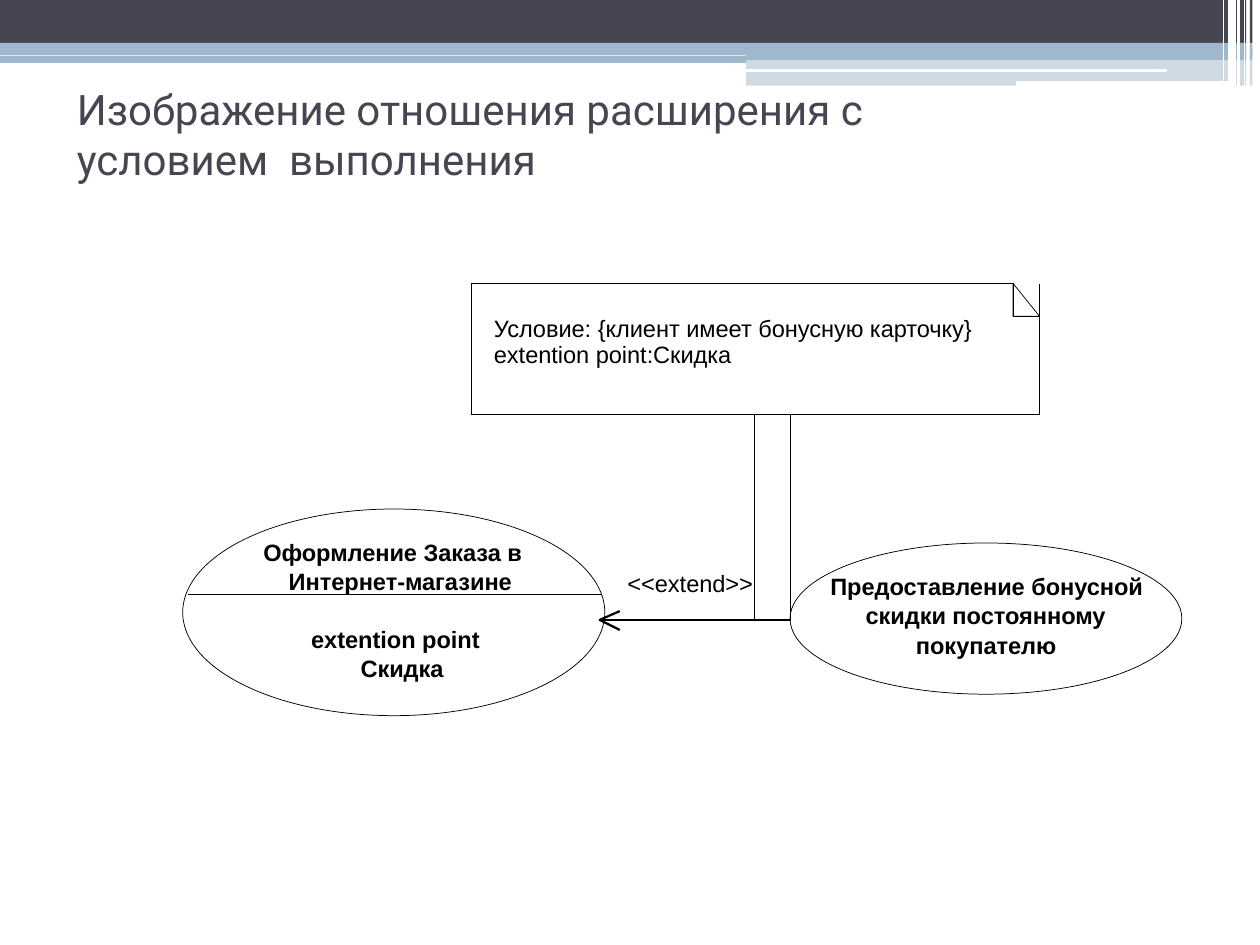
from dataclasses import dataclass

from lxml.etree import SubElement
from pptx import Presentation
from pptx.dml.color import RGBColor
from pptx.enum.shapes import MSO_CONNECTOR, MSO_SHAPE
from pptx.enum.text import MSO_ANCHOR, PP_ALIGN
from pptx.oxml.ns import qn
from pptx.util import Inches, Pt

COLORS = {"dark": "464652", "blue": "9FB8CD", "white": "FFFFFF", "black": "000000"}
HAIRLINE = 0.42
BODY_SIZE = 13.5
NO_STYLE = "{2D5ABB26-0587-4C30-8999-92F81FD0307C}"


@dataclass(frozen=True)
class Band:
    """A header band, repeated as a sliver at the right edge."""
    left: float
    top: float
    height: float
    color: str
    opacity: int = 100


@dataclass(frozen=True)
class Line:
    """A straight line with its colour and width in points."""
    start: tuple[float, float]
    end: tuple[float, float]
    color: str
    width: float


@dataclass(frozen=True)
class Caption:
    """A text box inside a use case, with a hanging indent."""
    left: float
    top: float
    width: float
    height: float
    text: str
    margin: float = 0.01
    indent: float = 0
    before: float = 0.8


@dataclass(frozen=True)
class Border:
    """A cell border: row, column, side and width in points."""
    row: int
    column: int
    side: str
    width: float


BANDS = [
    Band(0, 0, 0.34, "dark"),
    Band(0, 0.34, 0.1, "blue"),
    Band(5.92, 0.39, 0.09, "blue"),
    Band(5.92, 0.48, 0.2, "blue", 50),
]
HEADER_LINES = [
    Line((5.91, 0.56), (9.26, 0.56), "white", 2.16),
    Line((8.06, 0.66), (9.81, 0.66), "white", 2.88),
    Line((9.88, 0), (9.88, 0.68), "white", 0.72),
    Line((9.83, 0), (9.83, 0.68), "white", 2.16),
    Line((9.78, 0), (9.78, 0.64), "white", 4.32),
    Line((9.71, 0), (9.71, 0.64), "white", 0.72),
]
USE_CASES = [(6.27, 4.31, 3.11, 1.2), (1.45, 4.04, 3.35, 1.64)]
CAPTIONS = [
    Caption(6.57, 4.52, 2.56, 0.49,
            "Предоставление бонусной  скидки постоянному", 0.3, -0.28),
    Caption(7.26, 4.99, 1.16, 0.26, "покупателю", before=1.2),
    Caption(2.08, 4.25, 2.11, 0.49,
            "Оформление Заказа в  Интернет-магазине", 0.16, -0.15),
    Caption(2.45, 4.94, 1.38, 0.49, "extention point  Скидка", 0.36, -0.34),
]
COLUMNS = [1.03, 1.22, 0.28, 1.77, 0.21]
ROWS = [0.26, 0.78, 1.63]
BORDERS = [
    *(Border(0, column, "T", 0.5) for column in range(4)),
    Border(0, 0, "L", 0.5), Border(0, 3, "R", 0.5),
    Border(0, 4, "L", 0.5), Border(0, 4, "B", 0.5),
    Border(1, 0, "L", 0.5), Border(1, 0, "R", 0.5), Border(1, 4, "R", 0.5),
    *(Border(1, column, "B", 0.5) for column in range(5)),
    *(Border(2, column, "T", 0.5) for column in range(5)),
    Border(2, 1, "R", 1), Border(2, 1, "B", 1.5),
    Border(2, 2, "L", 1), Border(2, 2, "R", 0.5), Border(2, 2, "B", 1.5),
    Border(2, 3, "L", 0.5),
]


def rgb(name: str) -> RGBColor:
    """Look up a named colour."""
    return RGBColor.from_string(COLORS[name])


def draw_band(slide, band: Band) -> None:
    """Draw a band and its sliver."""
    for left, right in ((band.left, 9.89), (9.92, 9.94)):
        box = slide.shapes.add_shape(MSO_SHAPE.RECTANGLE, Inches(left), Inches(band.top),
                                     Inches(right - left), Inches(band.height))
        box.shadow.inherit = False
        box.line.fill.background()
        box.fill.solid()
        box.fill.fore_color.rgb = rgb(band.color)
        if band.opacity < 100:
            color = box.fill._xPr.find(".//" + qn("a:srgbClr"))
            SubElement(color, qn("a:alpha"), val=str(band.opacity * 1000))


def draw_line(slide, line: Line) -> None:
    """Draw a straight line without a shadow."""
    connector = slide.shapes.add_connector(
        MSO_CONNECTOR.STRAIGHT, *(Inches(value) for value in (*line.start, *line.end)))
    connector.line.color.rgb = rgb(line.color)
    connector.line.width = Pt(line.width)
    SubElement(connector._element.spPr, qn("a:effectLst"))


def outline(shape, width: float) -> None:
    """Leave a shape unfilled with a black outline."""
    shape.shadow.inherit = False
    shape.fill.background()
    shape.line.color.rgb = rgb("black")
    shape.line.width = Pt(width)


def draw_path(slide, points: list[tuple[float, float]], width: float, close: bool) -> None:
    """Draw an outline through points."""
    corners = [(Inches(x), Inches(y)) for x, y in points]
    builder = slide.shapes.build_freeform(*corners[0])
    builder.add_line_segments(corners[1:], close=close)
    outline(builder.convert_to_shape(), width)


def style(para, size: float, font: str, color: str, bold: bool = False) -> None:
    """Format every run of a paragraph."""
    for span in para.runs:
        span.font.size, span.font.name, span.font.bold = Pt(size), font, bold
        span.font.color.rgb = rgb(color)


def indent(para, margin: float, first: float = 0) -> None:
    """Set the left margin and first-line indent."""
    properties = para._p.get_or_add_pPr()
    properties.set("marL", str(Inches(margin)))
    properties.set("indent", str(Inches(first)))


def clear_margins(holder) -> None:
    """Remove the inner margins of a text frame or cell."""
    holder.margin_left = holder.margin_right = holder.margin_top = holder.margin_bottom = 0


def draw_caption(slide, caption: Caption) -> None:
    """Draw a bold use-case caption."""
    box = slide.shapes.add_textbox(Inches(caption.left), Inches(caption.top),
                                   Inches(caption.width), Inches(caption.height))
    frame = box.text_frame
    frame.word_wrap = True
    clear_margins(frame)
    frame.margin_top = Inches(0.01)
    frame.text = caption.text
    para = frame.paragraphs[0]
    para.line_spacing, para.space_before = 1.03, Pt(caption.before)
    indent(para, caption.margin, caption.indent)
    style(para, BODY_SIZE, "Arial", "black", True)


def draw_note_table(slide) -> None:
    """Draw the condition note and its link to the relation."""
    frame = slide.shapes.add_table(len(ROWS), len(COLUMNS), Inches(3.74), Inches(2.25),
                                   Inches(sum(COLUMNS)), Inches(sum(ROWS)))
    table = frame.table
    table.first_row = table.horz_banding = False
    table._tbl.tblPr.find(qn("a:tableStyleId")).text = NO_STYLE
    for column, width in zip(table.columns, COLUMNS):
        column.width = Inches(width)
    for row, height in zip(table.rows, ROWS):
        row.height = Inches(height)
    for border in BORDERS:
        properties = table.cell(border.row, border.column)._tc.get_or_add_tcPr()
        edge = SubElement(properties, qn(f"a:ln{border.side}"), w=str(Pt(border.width)))
        fill = SubElement(edge, qn("a:solidFill"))
        SubElement(fill, qn("a:srgbClr"), val=COLORS["black"])
    for cell in table.iter_cells():
        properties = cell._tc.get_or_add_tcPr()
        properties[:] = sorted(properties, key=lambda edge: "LRTB".index(edge.tag[-1]))
        cell.fill.background()
        clear_margins(cell)
        SubElement(cell.text_frame.paragraphs[0]._p, qn("a:endParaRPr"), sz="800")
    for first, last in (((0, 0), (0, 3)), ((1, 0), (1, 4)), ((2, 3), (2, 4))):
        table.cell(*first).merge(table.cell(*last))
    condition, relation = table.cell(1, 0), table.cell(2, 1)
    condition.text_frame.text = ("Условие: {клиент имеет бонусную карточку}  "
                                 "extention point:Скидка")
    relation.text_frame.text = "<<extend>>"
    relation.vertical_anchor = MSO_ANCHOR.BOTTOM
    relation.margin_bottom = Inches(0.18)
    for cell, margin in ((condition, 0.18), (relation, 0.21)):
        para = cell.text_frame.paragraphs[0]
        indent(para, margin)
        style(para, BODY_SIZE, "Arial", "black")


def format_title(title) -> None:
    """Place and format the slide title."""
    title.left, title.top, title.width, title.height = (
        Inches(value) for value in (0.6, 0.65, 7.72, 0.83))
    frame = title.text_frame
    frame.text = "Изображение отношения расширения с условием  выполнения"
    frame.word_wrap, frame.vertical_anchor = True, MSO_ANCHOR.TOP
    clear_margins(frame)
    frame.margin_top = Inches(0.01)
    para = frame.paragraphs[0]
    para.alignment, para.space_before = PP_ALIGN.LEFT, Pt(1)
    indent(para, 0.01)
    style(para, 24, "Roboto", "dark")


def build() -> None:
    """Build and save the slide."""
    deck = Presentation()
    deck.slide_width, deck.slide_height = Inches(10), Inches(7.5)
    page = deck.slides.add_slide(deck.slide_layouts[5])
    draw_line(page, Line((0, 0.47), (5.92, 0.47), "blue", 4.06))
    for band in BANDS:
        draw_band(page, band)
    for line in HEADER_LINES:
        draw_line(page, line)
    format_title(page.shapes.title)
    for bounds in USE_CASES:
        oval = page.shapes.add_shape(MSO_SHAPE.OVAL, *(Inches(value) for value in bounds))
        outline(oval, HAIRLINE)
    for caption in CAPTIONS:
        draw_caption(page, caption)
    draw_path(page, [(4.92, 4.85), (4.76, 4.92), (4.92, 5)], 1.25, False)
    draw_path(page, [(8.25, 2.51), (8.04, 2.25), (8.04, 2.51)], HAIRLINE, True)
    draw_note_table(page)
    draw_line(page, Line((1.49, 4.72), (4.77, 4.72), "black", HAIRLINE))
    deck.save("out.pptx")


build()
